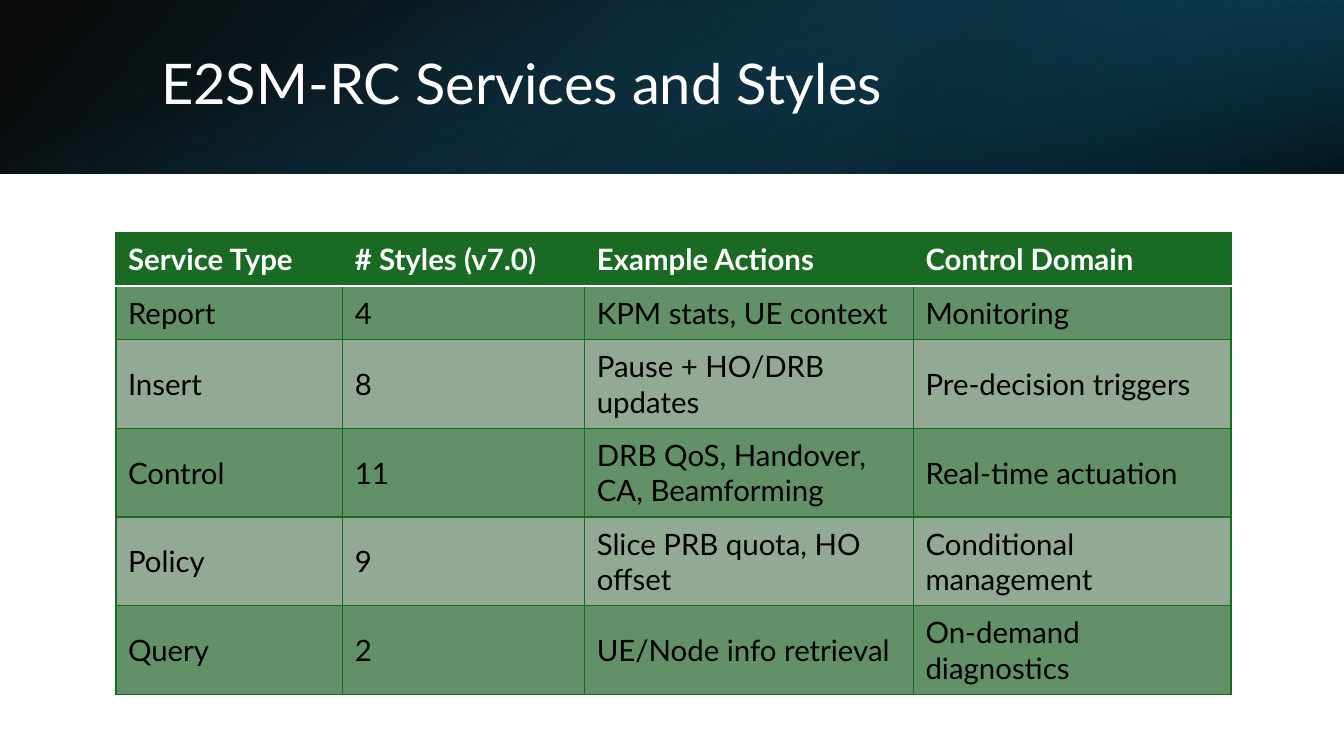
from dataclasses import dataclass
from lxml.etree import SubElement as Sub
from pptx import Presentation as Deck
from pptx.dml.color import RGBColor as Rgb
from pptx.enum.shapes import MSO_SHAPE as Kind
from pptx.enum.text import MSO_ANCHOR as Anchor
from pptx.oxml.ns import qn
from pptx.util import Inches, Pt


@dataclass(frozen=True)
class Theme:
    font: str = "Lato"
    title: int = 40
    body: int = 21
    white: str = "FFFFFF"
    black: str = "000000"
    green: str = "196B24"
    dark: str = "629067"
    pale: str = "92A994"
    teal: str = "156082"
    navy: str = "104862"
    deep: str = "0B3041"


class Page:
    def __init__(self, slide, theme):
        self.slide = slide
        self.theme = theme

    def band(self, box, stops, angle, turn=0, flip=False):
        shape = self.slide.shapes.add_shape(Kind.RECTANGLE, *map(Inches, box))
        shape.shadow.inherit = False
        shape.line.fill.background()
        shape.rotation = turn
        if flip:
            shape.element.spPr.find(qn("a:xfrm")).set("flipH", "1")
        shape.fill.gradient()
        shape.fill.gradient_angle = 360 - angle
        for stop, (place, color, _) in zip(shape.fill.gradient_stops, stops):
            stop.position = place / 100
            stop.color.rgb = Rgb.from_string(color)
        tints = shape.element.spPr.iter(qn("a:srgbClr"))
        for tint, (_, _, alpha) in zip(tints, stops):
            Sub(tint, qn("a:alpha")).set("val", str(alpha * 1000))

    def text(self, frame, words, size, color, bold=False):
        frame.word_wrap = True
        para = frame.paragraphs[0]
        run = para.add_run()
        run.text = words
        run.font.name = self.theme.font
        run.font.size = Pt(size)
        run.font.bold = bold
        run.font.color.rgb = Rgb.from_string(color)
        return para

    def title(self, box, words):
        frame = self.slide.shapes.add_textbox(*map(Inches, box)).text_frame
        frame.vertical_anchor = Anchor.MIDDLE
        para = self.text(frame, words, self.theme.title, self.theme.white)
        para.line_spacing = 0.9

    def edge(self, cell, side, color, width):
        line = Sub(cell._tc.get_or_add_tcPr(), qn(f"a:ln{side}"), w=str(Pt(width)))
        fill = Sub(line, qn("a:solidFill"))
        Sub(fill, qn("a:srgbClr")).set("val", color)

    def cell(self, cell, words, row):
        look = self.theme
        head = row == 0
        cell.vertical_anchor = Anchor.MIDDLE
        cell.margin_left = cell.margin_right = Inches(0.12)
        cell.margin_top = cell.margin_bottom = Inches(0.06)
        for side in "LRTB":
            rule = (row, side) in ((0, "B"), (1, "T"))
            self.edge(cell, side, look.white if rule else look.green, 1.5 if rule else 1)
        cell.fill.solid()
        back = look.green if head else look.dark if row % 2 else look.pale
        cell.fill.fore_color.rgb = Rgb.from_string(back)
        ink = look.white if head else look.black
        self.text(cell.text_frame, words, look.body, ink, head)

    def table(self, box, wide, high, data):
        frame = self.slide.shapes.add_table(len(high), len(wide), *map(Inches, box))
        table = frame.table
        for col, size in zip(table.columns, wide):
            col.width = Inches(size)
        for row, size in zip(table.rows, high):
            row.height = Inches(size)
        for row, line in enumerate(data):
            for col, words in enumerate(line):
                self.cell(table.cell(row, col), words, row)


def main():
    deck = Deck()
    deck.slide_width, deck.slide_height = Inches(13.33), Inches(7.5)
    look = Theme()
    page = Page(deck.slides.add_slide(deck.slide_layouts[6]), look)

    page.band((0, 0, 13.33, 1.72),
              [(0, look.black, 96), (100, look.navy, 100)], 140, flip=True)
    page.band((8.89, 0, 4.44, 1.72),
              [(19, look.deep, 68), (100, look.teal, 79)], 320, 180, True)
    page.band((5.8, -5.8, 1.72, 13.33),
              [(23, look.teal, 0), (99, look.black, 74)], 340, 90)
    page.title((1.5, 0.38, 10.98, 0.96), "E2SM-RC Services and Styles")

    data = [
        ("Service Type", "# Styles (v7.0)", "Example Actions", "Control Domain"),
        ("Report", "4", "KPM stats, UE context", "Monitoring"),
        ("Insert", "8", "Pause + HO/DRB updates", "Pre-decision triggers"),
        ("Control", "11", "DRB QoS, Handover, CA, Beamforming", "Real-time actuation"),
        ("Policy", "9", "Slice PRB quota, HO offset", "Conditional management"),
        ("Query", "2", "UE/Node info retrieval", "On-demand diagnostics"),
    ]
    page.table((1.15, 2.31, 11.07, 4.59), (2.25, 2.4, 3.26, 3.15),
               [0.53] * 2 + [0.88] * 4, data)
    deck.save("out.pptx")


if __name__ == "__main__":
    main()
